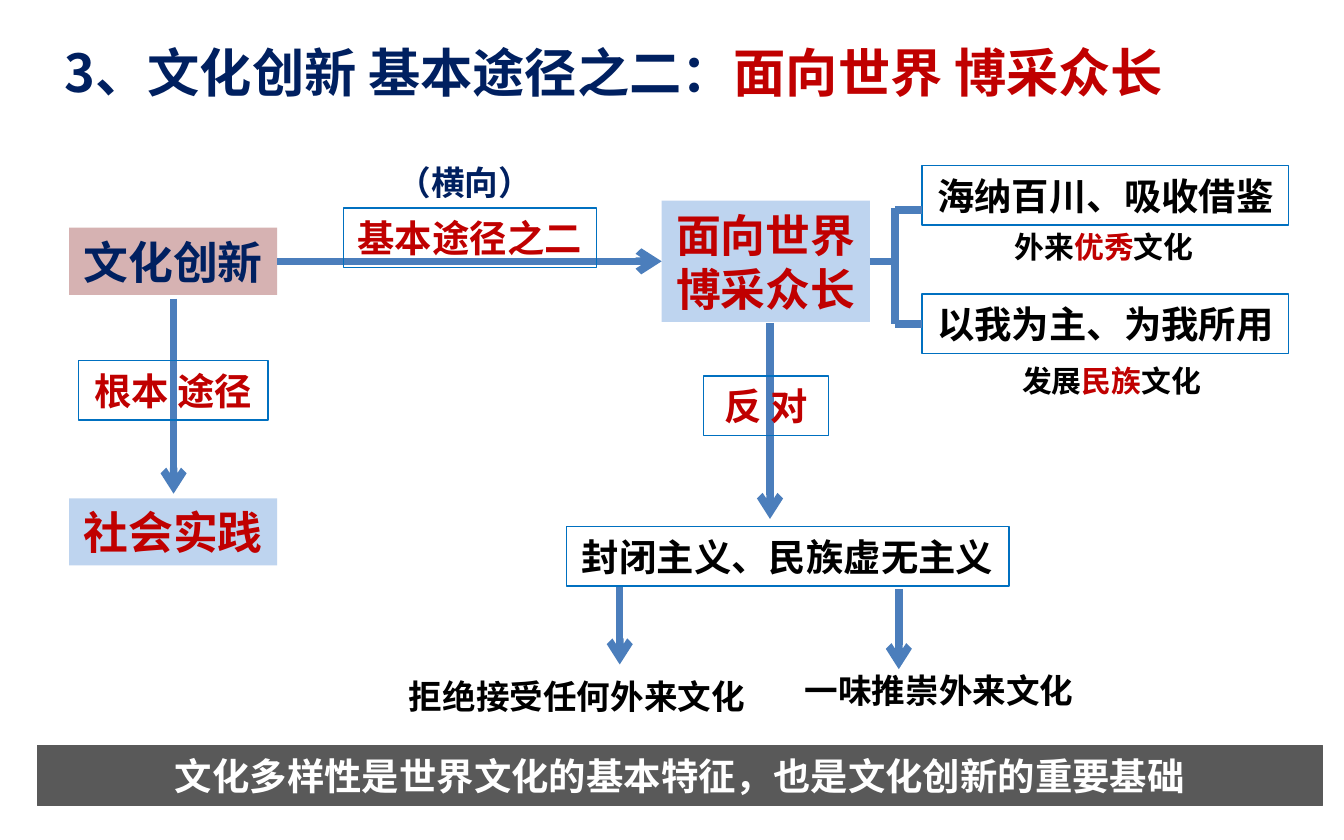
from dataclasses import dataclass
from typing import Any, Optional

from pptx import Presentation
from pptx.dml.color import RGBColor
from pptx.enum.shapes import MSO_CONNECTOR, MSO_SHAPE
from pptx.enum.text import MSO_ANCHOR as Anchor, MSO_AUTO_SIZE as AutoSize, PP_ALIGN as Align
from pptx.oxml.xmlchemy import OxmlElement
from pptx.util import Pt


@dataclass(frozen=True)
class Theme:
    font: str = "Noto Sans CJK SC"
    navy: str = "002060"
    red: str = "C00000"
    black: str = "000000"
    white: str = "FFFFFF"
    rose: str = "953735"
    sky: str = "558ED5"
    arrow: str = "4B7EBC"
    outline: str = "0070C0"
    banner: str = "595959"
    title_size: int = 28
    node_size: int = 24
    box_size: int = 20
    label_size: int = 18
    note_size: int = 16
    tint: int = 38
    arrow_width: float = 4
    outline_width: float = 0.75


THEME = Theme()


@dataclass(frozen=True)
class Segment:
    text: str
    color: str


Lines = list[list[Segment]]


@dataclass(frozen=True)
class Box:
    at: tuple[float, float, float, float]
    lines: Lines
    size: int = THEME.box_size
    fill: Optional[str] = None
    opacity: int = 100
    outline: Optional[str] = THEME.outline
    wrap: bool = False


@dataclass(frozen=True)
class Label:
    at: tuple[float, float, float, float]
    lines: Lines
    size: int = THEME.label_size


@dataclass(frozen=True)
class Link:
    start: tuple[float, float]
    end: tuple[float, float]
    arrow: bool = True
    source: Any = None  # leaves from the right side
    target: Any = None  # enters at the left side


def plain(color: str, *texts: str) -> Lines:
    return [[Segment(text, color)] for text in texts]


def add_child(parent: Any, tag: str, **attributes: str) -> None:
    child = OxmlElement(tag)
    for name, value in attributes.items():
        child.set(name, value)
    parent.append(child)


def write(frame: Any, lines: Lines, size: int, align: Align, wrap: bool,
          anchor: Anchor = Anchor.TOP) -> None:
    layout = {"word_wrap": wrap, "auto_size": AutoSize.SHAPE_TO_FIT_TEXT,
              "vertical_anchor": anchor}
    for name, value in layout.items():
        setattr(frame, name, value)
    for index, line in enumerate(lines):
        paragraph = frame.paragraphs[0] if index == 0 else frame.add_paragraph()
        paragraph.alignment = align
        for segment in line:
            run = paragraph.add_run()
            run.text = segment.text
            run.font.color.rgb = RGBColor.from_string(segment.color)
            for name, value in {"size": Pt(size), "bold": True, "name": THEME.font}.items():
                setattr(run.font, name, value)
            add_child(run._r.get_or_add_rPr(), "a:ea", typeface=THEME.font)


def draw_box(slide: Any, box: Box) -> Any:
    shape = slide.shapes.add_shape(MSO_SHAPE.RECTANGLE, *map(Pt, box.at))
    shape.shadow.inherit = False
    if box.fill:
        shape.fill.solid()
        shape.fill.fore_color.rgb = RGBColor.from_string(box.fill)
        if box.opacity < 100:
            color = shape._element.spPr.find(".//{*}solidFill/{*}srgbClr")
            add_child(color, "a:alpha", val=str(box.opacity * 1000))
    else:
        shape.fill.background()
    if box.outline:
        shape.line.color.rgb = RGBColor.from_string(box.outline)
        shape.line.width = Pt(THEME.outline_width)
    else:
        shape.line.fill.background()
    write(shape.text_frame, box.lines, box.size, Align.CENTER, box.wrap, Anchor.MIDDLE)
    return shape


def draw_label(slide: Any, label: Label) -> None:
    textbox = slide.shapes.add_textbox(*map(Pt, label.at))
    write(textbox.text_frame, label.lines, label.size, Align.LEFT, wrap=False)


def draw_link(slide: Any, link: Link) -> None:
    connector = slide.shapes.add_connector(
        MSO_CONNECTOR.STRAIGHT, *map(Pt, link.start + link.end))
    if link.source is not None:
        connector.begin_connect(link.source, 3)
    if link.target is not None:
        connector.end_connect(link.target, 1)
    connector.line.color.rgb = RGBColor.from_string(THEME.arrow)
    connector.line.width = Pt(THEME.arrow_width)
    if link.arrow:
        add_child(connector.line._get_or_add_ln(), "a:tailEnd", type="arrow")
    add_child(connector._element.spPr, "a:effectLst")


def node(at: tuple[float, float, float, float], color: str, fill: str, *texts: str) -> Box:
    return Box(at, plain(color, *texts), THEME.node_size, fill, THEME.tint, None)


def main() -> None:
    deck = Presentation()
    deck.slide_width, deck.slide_height = Pt(720), Pt(450)
    slide = deck.slides.add_slide(deck.slide_layouts[5])
    navy, red, black = THEME.navy, THEME.red, THEME.black

    title = slide.shapes.title
    for name, value in {"left": 27.5, "top": 18, "width": 641, "height": 41}.items():
        setattr(title, name, Pt(value))
    heading = [[Segment("3、文化创新 基本途径之二：", navy), Segment("面向世界 博采众长", red)]]
    write(title.text_frame, heading, THEME.title_size, Align.LEFT, wrap=True)

    innovation = draw_box(slide, node((37, 122, 111.5, 36), navy, THEME.rose, "文化创新"))
    draw_box(slide, node((37, 267, 111.5, 36), red, THEME.sky, "社会实践"))
    world = draw_box(slide, node((354.5, 107.5, 111.5, 65), red, THEME.sky,
                                 "面向世界", "博采众长"))
    draw_box(slide, Box((494, 88.5, 196.5, 32), plain(black, "海纳百川、吸收借鉴")))
    own_use = draw_box(slide, Box((494, 157.5, 196.5, 32), plain(black, "以我为主、为我所用")))

    bracket_x, bracket_top, bracket_bottom = 479.5, 112.5, 173.5
    links = [
        Link((148.5, 140), (354.5, 140), source=innovation, target=world),
        Link((93, 160), (93, 264.5)),
        Link((412.5, 173), (412.5, 278)),
        Link((332, 313.5), (332, 356)),
        Link((481.5, 315.5), (481.5, 358.5)),
        Link((466, 140), (bracket_x, 140), arrow=False, source=world),
        Link((bracket_x, bracket_top - 1), (bracket_x, bracket_bottom), arrow=False),
        Link((bracket_x, bracket_top), (494, bracket_top), arrow=False),
        Link((bracket_x, bracket_bottom), (494, bracket_bottom), arrow=False, target=own_use),
    ]
    for link in links:
        draw_link(slide, link)

    boxes = [
        Box((42, 193, 101.5, 32), plain(red, "根本 途径")),
        Box((184, 111.5, 135.5, 32), plain(red, "基本途径之二")),
        Box((377, 201.5, 67, 32), plain(red, "反 对")),
        Box((303.5, 282, 237, 32), plain(black, "封闭主义、民族虚无主义")),
        Box((20, 399.5, 688.5, 32),
            plain(THEME.white, "文化多样性是世界文化的基本特征，也是文化创新的重要基础"),
            fill=THEME.banner, outline=THEME.banner, wrap=True),
    ]
    for box in boxes:
        draw_box(slide, box)

    labels = [
        Label((206, 83, 87, 29), plain(navy, "（横向）")),
        Label((212, 358.5, 196.5, 29), plain(black, "拒绝接受任何外来文化")),
        Label((424, 355.5, 165.5, 29), plain(black, "一味推崇外来文化")),
    ]
    notes = [((536.5, 119, 111.5, 26.5), "外来", "优秀"),
             ((540.5, 191, 111.5, 26.5), "发展", "民族")]
    for at, verb, stress in notes:
        phrase = [Segment(verb, black), Segment(stress, red), Segment("文化", black)]
        labels.append(Label(at, [phrase], THEME.note_size))
    for label in labels:
        draw_label(slide, label)

    deck.save("out.pptx")


if __name__ == "__main__":
    main()
